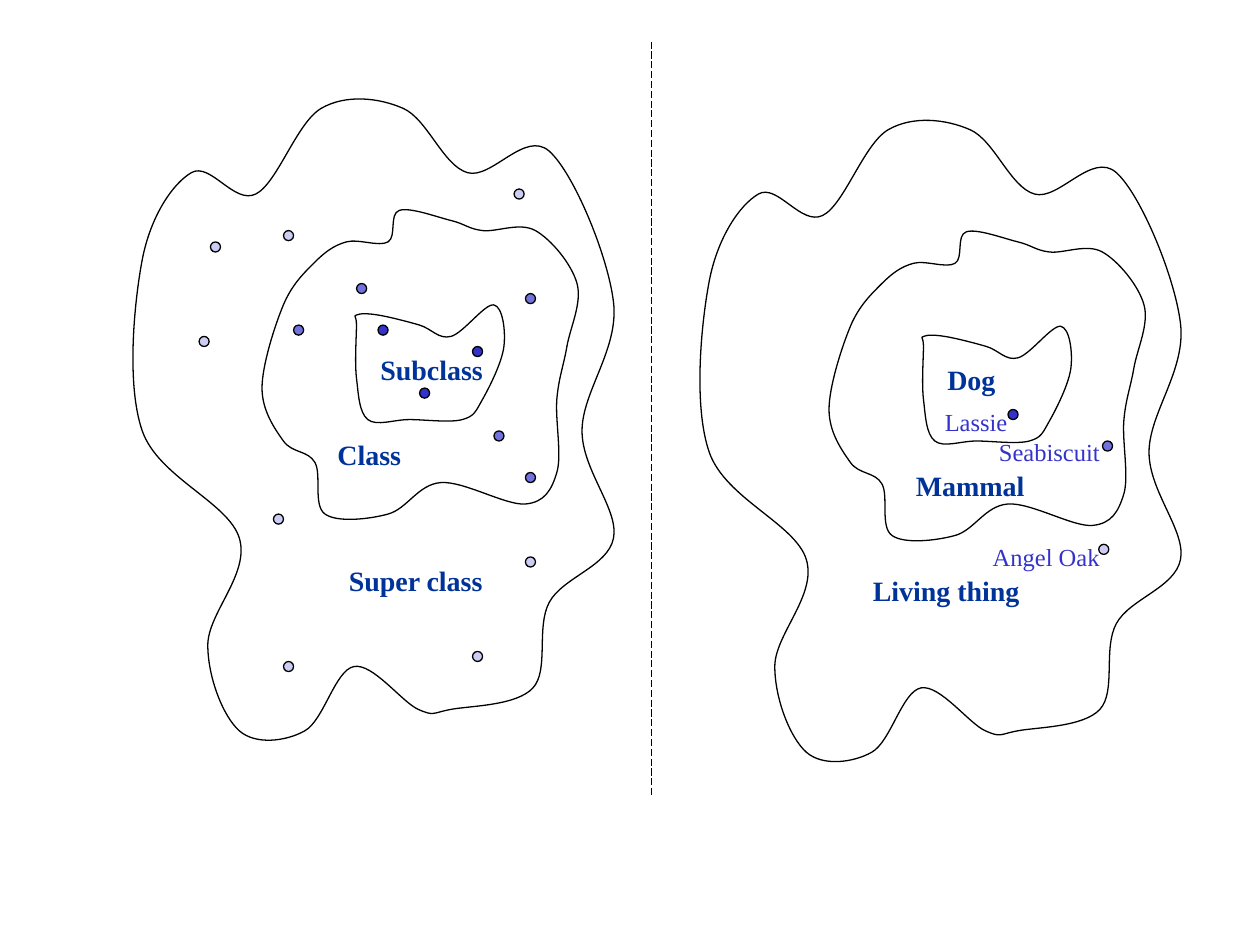
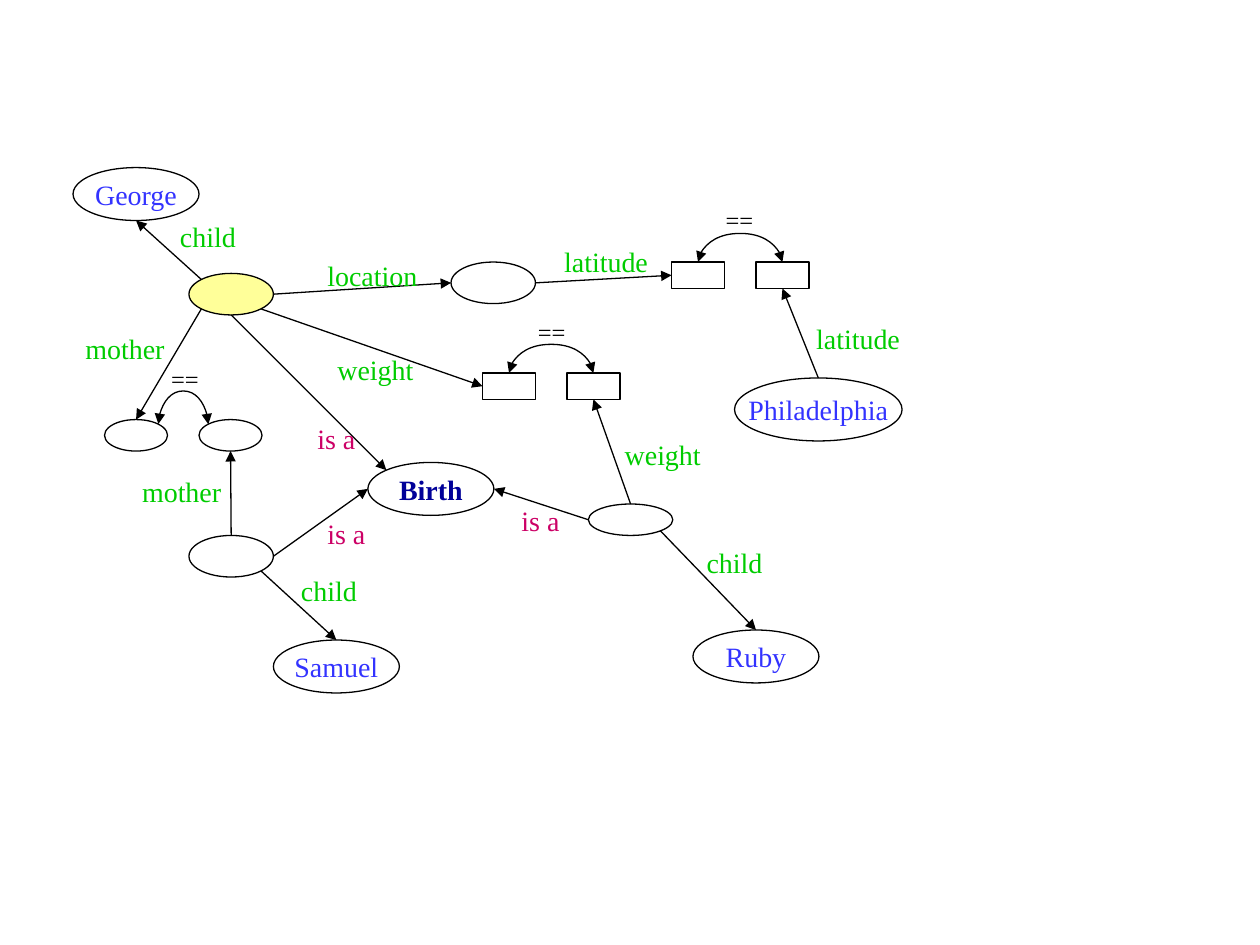
import math
from lxml import etree
from pptx import Presentation
from pptx import util as u
from pptx.dml import color as c
from pptx.enum import dml, shapes, text
from pptx.oxml import ns

FONT = "Times New Roman"
HUES = {"ink": "000000", "pale": "CDCDF3", "mid": "7272DC", "deep": "3333CC",
        "class": "003399", "glow": "FFFF99", "name": "3333FF", "birth": "000099",
        "link": "00CC00", "kind": "CC0066"}
OVAL, RECT = shapes.MSO_SHAPE.OVAL, shapes.MSO_SHAPE.RECTANGLE
DOT = 0.08

OUTER = [(2.58, 4.88), (3.23, 4.71), (3.36, 4.03), (3.87, 3.52), (3.62, 2.67),
         (3.87, 1.65), (3.36, 0.45), (2.71, 0.62), (2.2, 0.11), (1.55, 0.11),
         (1.03, 0.79), (0.52, 0.62), (0.13, 1.31), (0.13, 2.67), (0.9, 3.52),
         (0.65, 4.37), (0.9, 5.05), (1.42, 5.05), (1.81, 4.54), (2.32, 4.88)]
MIDDLE = [(1.25, 1.67), (1.08, 2.33), (1.25, 2.75), (1.5, 2.92), (1.58, 3.33),
          (2.08, 3.33), (2.5, 3.08), (3.17, 3.25), (3.42, 3), (3.42, 2.42),
          (3.5, 2), (3.58, 1.5), (3.25, 1.08), (2.83, 1.08), (2.58, 1),
          (2.17, 0.92), (2.08, 1.17), (1.75, 1.17), (1.5, 1.33)]
INNER = [(1.83, 1.83), (1.83, 2.25), (1.92, 2.58), (2.25, 2.58), (2.67, 2.58),
         (2.83, 2.42), (3, 2), (2.92, 1.67), (2.58, 1.92), (2.33, 1.83),
         (2, 1.75), (1.83, 1.75)]

GROUPS = {
    "labels": [("Class", 1.58, 2.67, 0.71), ("Super class", 1.67, 3.67, 1.27),
               ("Subclass", 1.92, 2, 1.02)],
    "names": [],
    "dots": {"pale": [(0.67, 1.17), (0.58, 1.92), (1.25, 1.08), (1.17, 3.33),
                      (3.08, 0.75), (1.25, 4.5), (2.75, 4.42), (3.17, 3.67)],
             "mid": [(1.83, 1.5), (1.33, 1.83), (2.92, 2.67), (3.17, 1.58), (3.17, 3)],
             "deep": [(2, 1.83), (2.33, 2.33), (2.75, 2)]}}
BEINGS = {
    "labels": [("Dog", 1.92, 1.91, 0.58), ("Mammal", 1.67, 2.75, 1.07),
               ("Living thing", 1.33, 3.58, 1.37)],
    "names": [("Lassie", 1.9, 2.26, 0.7), ("Seabiscuit", 2.33, 2.5, 1.01),
              ("Angel Oak", 2.28, 3.33, 1.05)],
    "dots": {"pale": [(3.22, 3.4)], "mid": [(3.25, 2.58)], "deep": [(2.5, 2.33)]}}

BIG, SMALL, FLAT, TINY, CELL = (1, 0.42), (0.67, 0.33), (0.67, 0.25), (0.5, 0.25), (0.42, 0.21)
NODES = {
    "event": (OVAL, 0.92, 0.84, SMALL), "place": (OVAL, 3, 0.75, SMALL),
    "George": (OVAL, 0, 0, BIG), "Birth": (OVAL, 2.34, 2.34, BIG),
    "Philadelphia": (OVAL, 5.25, 1.67, (1.33, 0.5)),
    "mum a": (OVAL, 0.25, 2, TINY), "mum b": (OVAL, 1, 2, TINY),
    "event b": (OVAL, 0.92, 2.92, SMALL), "Samuel": (OVAL, 1.59, 3.75, BIG),
    "event c": (OVAL, 4.09, 2.67, FLAT), "Ruby": (OVAL, 4.92, 3.67, BIG),
    "lat a": (RECT, 4.75, 0.75, CELL), "lat b": (RECT, 5.42, 0.75, CELL),
    "mass a": (RECT, 3.25, 1.63, CELL), "mass b": (RECT, 3.92, 1.63, CELL)}
NAMED = {"George", "Philadelphia", "Samuel", "Ruby"}
LINKS = [("event", 4, "Birth", 1), ("event", 1, "George", 4), ("event", 6, "place", 2),
         ("place", 6, "lat a", 1), ("Philadelphia", 0, "lat b", 2),
         ("event", 3, "mum a", 0), ("event b", 6, "Birth", 2),
         ("event b", 0, "mum b", 4), ("event b", 5, "Samuel", 0),
         ("event", 5, "mass a", 1), ("event c", 2, "Birth", 6),
         ("event c", 0, "mass b", 2), ("event c", 5, "Ruby", 0)]
ARCS = [("lat a", 0, "lat b", 0, 0.25), ("mass a", 0, "mass b", 0, 0.25),
        ("mum a", 7, "mum b", 1, 0.29)]
WORDS = {"child": (0.65, "link", 16, [(0.75, 0.36), (1.71, 3.17), (4.93, 2.95)]),
         "latitude": (0.87, "link", 16, [(3.8, 0.56), (5.8, 1.17)]),
         "location": (0.92, "link", 16, [(1.92, 0.67)]),
         "mother": (0.83, "link", 16, [(0, 1.25), (0.45, 2.39)]),
         "weight": (0.81, "link", 16, [(2, 1.42), (4.28, 2.09)]),
         "is a": (0.51, "kind", 16, [(1.84, 1.97), (1.92, 2.72), (3.46, 2.62)]),
         "==": (0.42, "ink", 14, [(5.08, 0.25), (3.59, 1.14), (0.68, 1.51)])}


def rgb(hue):
    return c.RGBColor.from_string(HUES[hue])


def pen(line, width=0.75):
    line.color.rgb = rgb("ink")
    line.width = u.Pt(width)


def write(frame, words, hue="ink", size=16, bold=False, align=None):
    frame.word_wrap = False
    para = frame.paragraphs[0]
    para.alignment = align
    run = para.add_run()
    run.text = words
    run.font.name, run.font.size, run.font.bold = FONT, u.Pt(size), bold
    run.font.color.rgb = rgb(hue)


def label(slide, words, x, y, width, size=16, **style):
    height = 0.37 if size == 16 else 0.33
    box = slide.shapes.add_textbox(*map(u.Inches, (x, y, width, height)))
    box.text_frame.auto_size = text.MSO_AUTO_SIZE.SHAPE_TO_FIT_TEXT
    write(box.text_frame, words, size=size, **style)


def paint(shape, hue=None):
    shape.shadow.inherit = False
    pen(shape.line)
    if hue:
        shape.fill.solid()
        shape.fill.fore_color.rgb = rgb(hue)
    else:
        shape.fill.background()


def node(slide, kind, x, y, size, hue=None):
    shape = slide.shapes.add_shape(kind, *map(u.Inches, (x, y, *size)))
    paint(shape, hue)
    return shape


def blob(slide, knots, x, y):
    count = len(knots)
    points = []
    for i in range(count):
        a, b, d, e = (knots[(i + k) % count] for k in (-1, 0, 1, 2))
        points += [tuple(q + (r - p) / 6 for p, q, r in zip(a, b, d)),
                   tuple(r - (s - q) / 6 for q, r, s in zip(b, d, e)), d]
    spots = [(u.Inches(x + px), u.Inches(y + py)) for px, py in points]
    pencil = slide.shapes.build_freeform(*spots[-1])
    pencil.add_line_segments(spots, close=True)
    shape = pencil.convert_to_shape()
    paint(shape)
    steps = list(shape._element.iter(ns.qn("a:lnTo")))
    for i in range(0, 3 * count, 3):
        bend = etree.Element(ns.qn("a:cubicBezTo"))
        steps[i].addprevious(bend)
        for step in steps[i:i + 3]:
            bend.append(step[0])
            step.getparent().remove(step)
    for extra in steps[3 * count:]:
        extra.getparent().remove(extra)


def wire(slide, kind, start, end, heads=(), width=0.75):
    line = slide.shapes.add_connector(kind, *map(u.Inches, (*start, *end)))
    pen(line.line, width)
    for head in heads:
        etree.SubElement(line.line._get_or_add_ln(), ns.qn("a:" + head), type="triangle")
    etree.SubElement(line._element.spPr, ns.qn("a:effectLst"))
    return line


def site(x, y, spec, spot):
    kind, left, top, (w, h) = spec
    turn = math.radians(90 + spot * (45 if kind == OVAL else 90))
    return (x + left + w / 2 * (1 + math.cos(turn)),
            y + top + h / 2 * (1 - math.sin(turn)))


def arc(slide, start, end, rise):
    line = wire(slide, shapes.MSO_CONNECTOR.CURVE, start, end, ("headEnd", "tailEnd"))
    span, thin = u.Inches(end[0] - start[0]), 1588
    line.left = u.Inches((start[0] + end[0]) / 2) - thin // 2
    line.top = u.Inches(start[1]) - span // 2
    line.width, line.height = thin, span
    frame = line._element.spPr.find(ns.qn("a:xfrm"))
    frame.set("rot", "5400000")
    frame.set("flipV", "1")
    bends = next(line._element.iter(ns.qn("a:avLst")))
    ratio = round(-u.Inches(rise) / thin * 100000)
    etree.SubElement(bends, ns.qn("a:gd"), name="adj1", fmla=f"val {ratio}")


def sets(slide, x, y, parts):
    for knots in (OUTER, MIDDLE, INNER):
        blob(slide, knots, x, y)
    for words, left, top, width in parts["labels"]:
        label(slide, words, x + left, y + top, width, hue="class", bold=True)
    for words, left, top, width in parts["names"]:
        label(slide, words, x + left, y + top, width, size=14, hue="deep")
    for hue, spots in parts["dots"].items():
        for left, top in spots:
            node(slide, OVAL, x + left, y + top, (DOT, DOT), hue)


def web(slide, x, y):
    made = {}
    for name, (kind, left, top, size) in NODES.items():
        hue = "glow" if name == "event" else None
        made[name] = node(slide, kind, x + left, y + top, size, hue)
        if name in NAMED or name == "Birth":
            write(made[name].text_frame, name, hue="name" if name in NAMED else "birth",
                  bold=name == "Birth", align=text.PP_ALIGN.CENTER)
    for start, out, end, into in LINKS:
        line = wire(slide, shapes.MSO_CONNECTOR.STRAIGHT, site(x, y, NODES[start], out),
                    site(x, y, NODES[end], into), ("tailEnd",))
        joint = line._element.nvCxnSpPr.cNvCxnSpPr
        for tie, name, spot in ((joint.get_or_add_stCxn(), start, out),
                                (joint.get_or_add_endCxn(), end, into)):
            tie.id, tie.idx = made[name].shape_id, spot
    for start, out, end, into, rise in ARCS:
        arc(slide, site(x, y, NODES[start], out), site(x, y, NODES[end], into), rise)
    for words, (width, hue, size, spots) in WORDS.items():
        for left, top in spots:
            label(slide, words, x + left, y + top, width, size=size, hue=hue)


deck = Presentation()
deck.slide_width, deck.slide_height = u.Inches(10), u.Inches(7.5)
blank = deck.slide_layouts[6]

first = deck.slides.add_slide(blank)
sets(first, 1, 0.75, GROUPS)
sets(first, 5.5, 0.92, BEINGS)
split = wire(first, shapes.MSO_CONNECTOR.STRAIGHT, (5.17, 0.33), (5.17, 6.33), width=0.5)
split.line.dash_style = dml.MSO_LINE.LONG_DASH

web(deck.slides.add_slide(blank), 0.58, 1.33)
deck.save("out.pptx")
